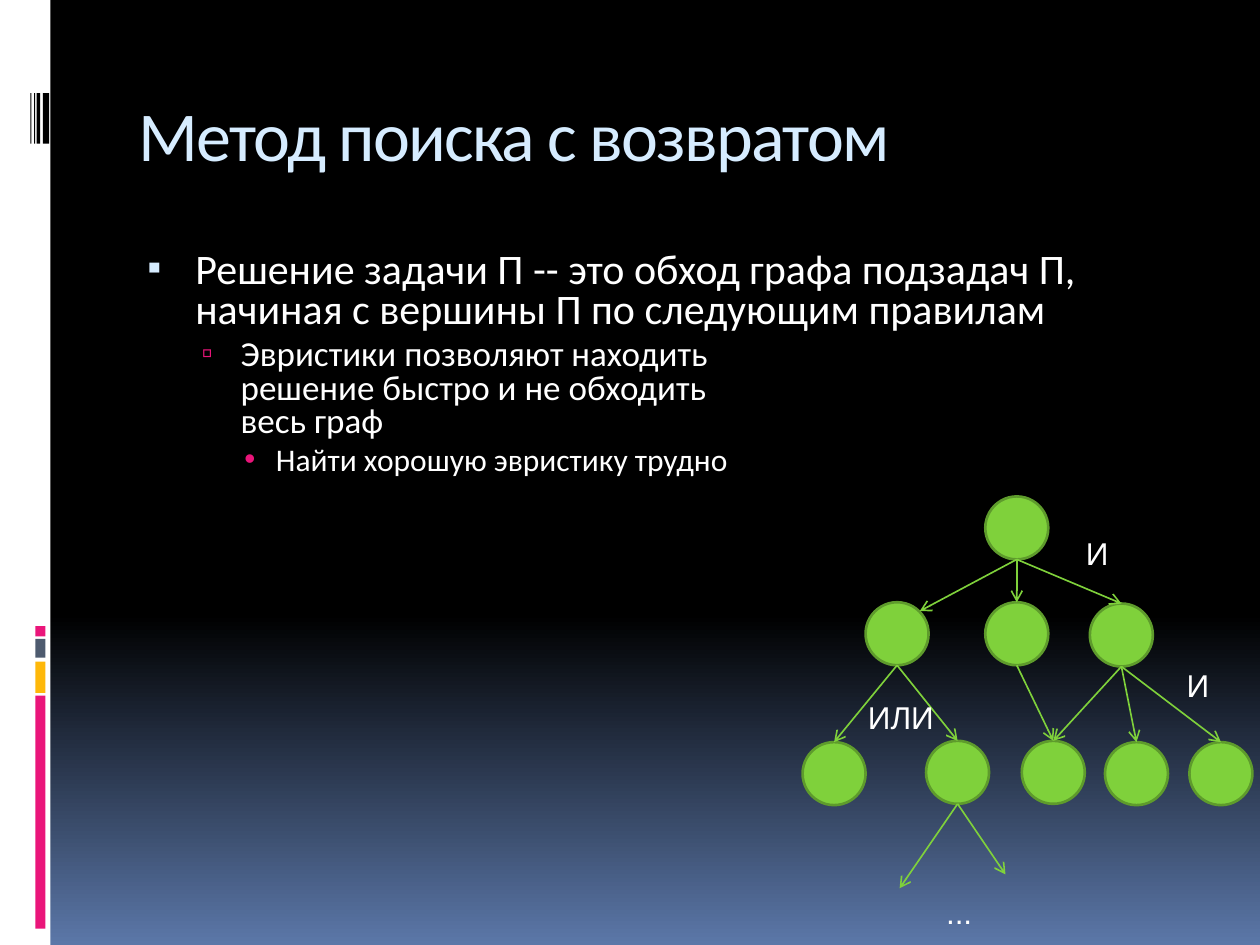
from lxml.etree import SubElement
from pptx import Presentation
from pptx.dml.color import RGBColor
from pptx.enum.shapes import MSO_CONNECTOR, MSO_SHAPE
from pptx.enum.text import MSO_ANCHOR, MSO_AUTO_SIZE, PP_ALIGN
from pptx.oxml.ns import qn
from pptx.util import Inches, Pt

BLACK = RGBColor(0x00, 0x00, 0x00)
WHITE = RGBColor(0xFF, 0xFF, 0xFF)
SKY = RGBColor(0x5B, 0x77, 0xA8)
PALE_BLUE = RGBColor(0xD6, 0xEC, 0xFF)
PINK = RGBColor(0xEA, 0x15, 0x7A)
AMBER = RGBColor(0xFE, 0xB8, 0x0A)
SLATE = RGBColor(0x4E, 0x5B, 0x6F)
GREEN = RGBColor(0x7F, 0xD1, 0x3B)
DARK_GREEN = RGBColor(0x5E, 0x9B, 0x2C)

TITLE_FONT = {"name": "Calibri", "size": Pt(40)}
LABEL_FONT = {"name": "Arial", "size": Pt(18)}

# Text, size, left margin, hanging indent, space before, bullet, its colour and size in %
RULES = [
    ("Решение задачи П -- это обход графа подзадач П, начиная с вершины П по следующим правилам",
     24, 0.45, -0.38, 7, "▪", PALE_BLUE, 95),
    ("Эвристики позволяют находить\nрешение быстро и не обходить\nвесь граф",
     20, 0.81, -0.31, 4, "▫", PINK, 90),
    ("Найти хорошую эвристику трудно", 18, 1.09, -0.25, 3.6, "•", PINK, 100),
]

# Top, height and colour of the sidebar blocks
BLOCKS = [(4.97, 0.08, PINK), (5.07, 0.15, SLATE), (5.25, 0.25, AMBER), (5.52, 1.85, PINK)]
# Left and width of the barcode strips
STRIPS = [(0.24, 0.01), (0.27, 0.01), (0.29, 0.03), (0.34, 0.05)]

# Tree places are relative to the tree's box
NODE_SIZE = 0.5
NODES = {
    "root": (1.45, 0),
    "left": (0.5, 0.84), "middle": (1.45, 0.84), "right": (2.28, 0.85),
    "leaf 1": (0, 1.95), "leaf 2": (0.98, 1.94), "leaf 3": (1.74, 1.94),
    "leaf 4": (2.4, 1.95), "leaf 5": (3.07, 1.95),
}
EDGES = [
    ("root", "middle"), ("root", "right"),
    ("left", "leaf 1"), ("left", "leaf 2"), ("middle", "leaf 3"),
    ("right", "leaf 3"), ("right", "leaf 4"), ("right", "leaf 5"),
]
# Arrows that do not end at the top of a node
FREE_EDGES = [("root", (0.93, 0.91)), ("leaf 2", (0.77, 3.11)), ("leaf 2", (1.61, 3))]
LABELS = [("И", 2.15, 0.25, 0.38), ("ИЛИ", 0.42, 1.55, 0.73),
          ("И", 2.95, 1.3, 0.38), ("...", 1.04, 3.1, 0.41)]


def set_format(target, values):
    for name, value in values.items():
        setattr(target, name, value)


def set_font(font, values, color):
    set_format(font, values)
    font.color.rgb = color


def place(shape, box):
    set_format(shape, dict(zip(("left", "top", "width", "height"), map(Inches, box))))


def add_filled(slide, kind, box, color):
    shape = slide.shapes.add_shape(kind, *map(Inches, box))
    shape.shadow.inherit = False
    shape.fill.solid()
    shape.fill.fore_color.rgb = color
    shape.line.fill.background()
    return shape


def add_background(slide):
    fill = slide.background.fill
    fill.gradient()
    fill.gradient_angle = 270
    for stop, position, color in zip(fill.gradient_stops, (0.65, 1), (BLACK, SKY)):
        stop.position = position
        stop.color.rgb = color


def add_sidebar(slide, box):
    left, top, width, height = box
    add_filled(slide, MSO_SHAPE.RECTANGLE, box, WHITE)
    for block_top, block_height, color in BLOCKS:
        add_filled(slide, MSO_SHAPE.RECTANGLE,
                   (left + 0.28, top + block_top, 0.08, block_height), color)
    for strip_left, strip_width in STRIPS:
        add_filled(slide, MSO_SHAPE.RECTANGLE,
                   (left + strip_left, top + 0.74, strip_width, 0.4), BLACK)


def add_title(slide, box):
    title = slide.shapes.title
    place(title, box)
    title.text_frame.vertical_anchor = MSO_ANCHOR.MIDDLE
    paragraph = title.text_frame.paragraphs[0]
    paragraph.text = "Метод поиска с возвратом"
    paragraph.alignment = PP_ALIGN.LEFT
    run = paragraph.runs[0]
    set_font(run.font, TITLE_FONT, PALE_BLUE)
    run.font._element.set("spc", "-100")


def set_bullet(paragraph, margin, indent, character, color, percent):
    properties = paragraph._p.get_or_add_pPr()
    properties.set("marL", str(Inches(margin)))
    properties.set("indent", str(Inches(indent)))
    bullet_color = SubElement(properties, qn("a:buClr"))
    SubElement(bullet_color, qn("a:srgbClr"), val=str(color))
    SubElement(properties, qn("a:buSzPct"), val=str(percent * 1000))
    SubElement(properties, qn("a:buFont"), typeface="Arial")
    SubElement(properties, qn("a:buChar"), char=character)


def add_rules(slide, box):
    body = slide.placeholders[1]
    place(body, box)
    frame = body.text_frame
    for level, (text, size, margin, indent, space, character, color, percent) in enumerate(RULES):
        paragraph = frame.paragraphs[0] if level == 0 else frame.add_paragraph()
        paragraph.text = text
        set_format(paragraph, {"level": level, "line_spacing": 0.8, "space_before": Pt(space)})
        set_bullet(paragraph, margin, indent, character, color, percent)
        for run in paragraph.runs:
            set_font(run.font, {"name": "Calibri", "size": Pt(size)}, WHITE)


def add_arrow(slide, start, end):
    arrow = slide.shapes.add_connector(MSO_CONNECTOR.STRAIGHT, *map(Inches, start + end))
    arrow.line.color.rgb = GREEN
    arrow.line.width = Pt(0.94)
    SubElement(arrow.line._get_or_add_ln(), qn("a:tailEnd"), type="arrow")
    SubElement(arrow._element.spPr, qn("a:effectLst"))


def add_label(slide, text, box):
    label = slide.shapes.add_textbox(*map(Inches, box))
    set_format(label.text_frame, {"word_wrap": False,
                                  "auto_size": MSO_AUTO_SIZE.SHAPE_TO_FIT_TEXT})
    run = label.text_frame.paragraphs[0].add_run()
    run.text = text
    set_font(run.font, LABEL_FONT, WHITE)


def add_tree(slide, box):
    left, top = box[:2]

    def node_point(name, drop):
        x, y = NODES[name]
        return left + x + NODE_SIZE / 2, top + y + drop

    # Nodes
    for x, y in NODES.values():
        node = add_filled(slide, MSO_SHAPE.OVAL,
                          (left + x, top + y, NODE_SIZE, NODE_SIZE), GREEN)
        node.line.color.rgb = DARK_GREEN
        node.line.width = Pt(1.5)
    # Arrows from the bottom of a parent
    for parent, child in EDGES:
        add_arrow(slide, node_point(parent, NODE_SIZE), node_point(child, 0))
    for parent, (x, y) in FREE_EDGES:
        add_arrow(slide, node_point(parent, NODE_SIZE), (left + x, top + y))
    # Labels
    for text, x, y, width in LABELS:
        add_label(slide, text, (left + x, top + y, width, 0.4))


def main():
    presentation = Presentation()
    set_format(presentation, {"slide_width": Inches(10), "slide_height": Inches(7.5)})
    slide = presentation.slides.add_slide(presentation.slide_layouts[1])
    add_background(slide)
    add_sidebar(slide, (0, 0, 0.4, 7.5))
    add_title(slide, (1, 0.56, 8.5, 1))
    add_rules(slide, (1, 1.95, 8.5, 5))
    add_tree(slide, (6.37, 3.94, 3.57, 3.5))
    presentation.save("out.pptx")


if __name__ == "__main__":
    main()
